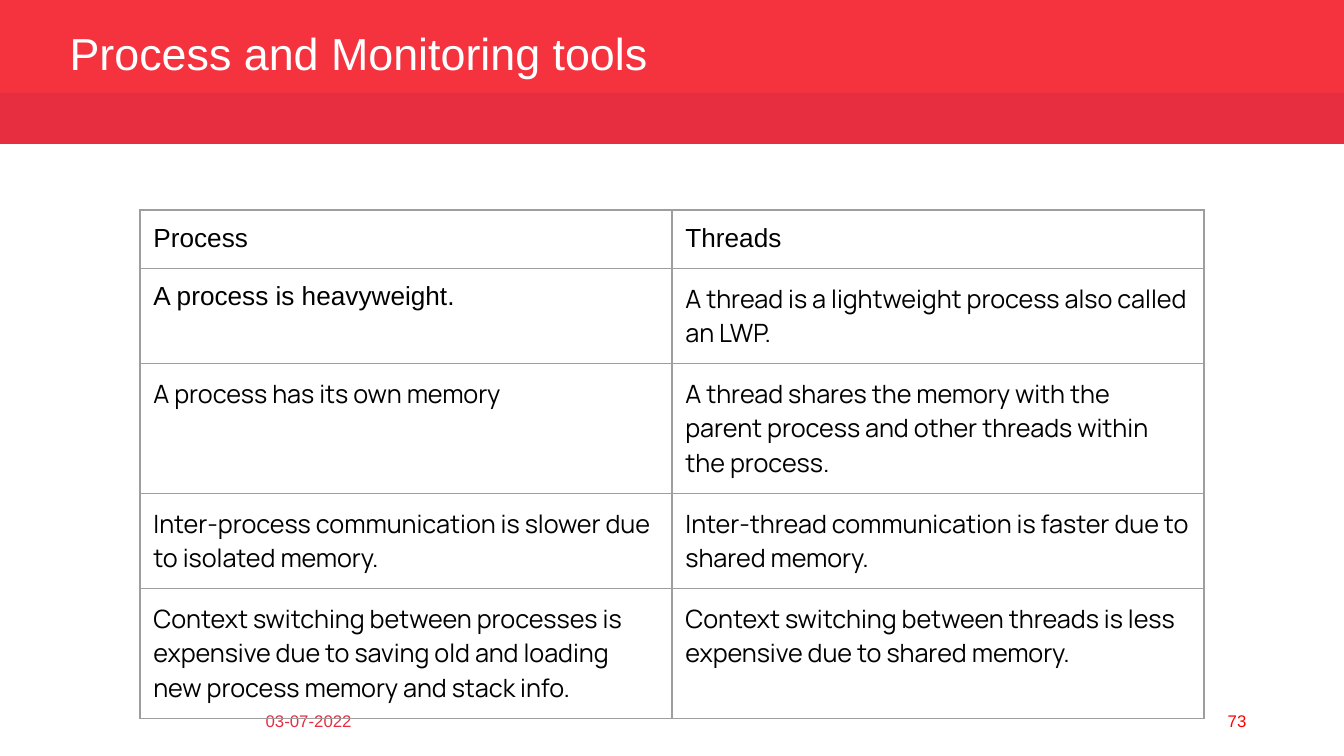
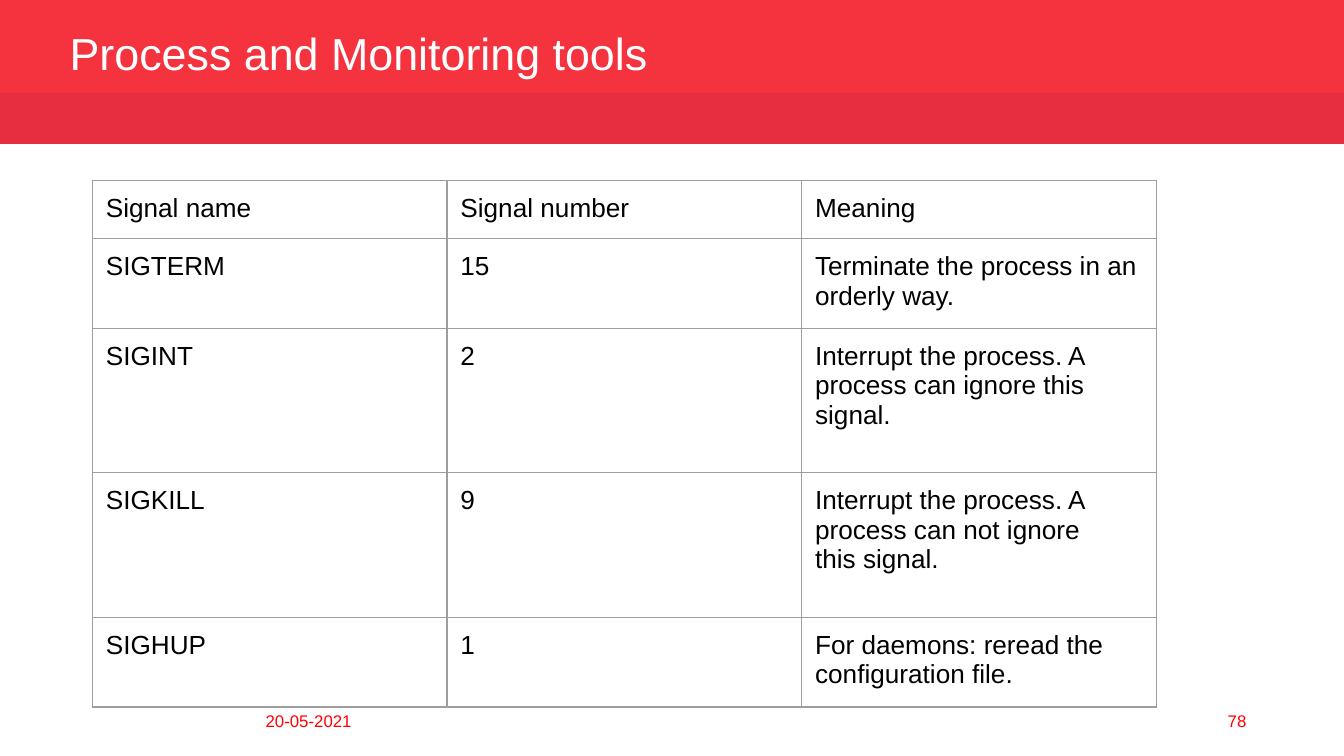
from lxml import etree
from pptx import Presentation
from pptx.dml.color import RGBColor
from pptx.enum import shapes, text
from pptx.oxml import ns
from pptx.util import Pt

SLIDE_W, SLIDE_H = 720, 405
BRIGHT, CRIMSON, FOOTER_RED = "F5333F", "E72D40", "FF0000"
WHITE, BLACK, GRID = "FFFFFF", "000000", "9E9E9E"
ARIAL, MANROPE = ("Arial", 14), ("Manrope", 13.5)
CELL_INSET = 7.2


def rgb(hex_color):
    return RGBColor.from_string(hex_color)


def add_run(paragraph, words, font, size, color):
    run = paragraph.add_run()
    run.text = words
    run.font.name = font
    run.font.size = Pt(size)
    run.font.color.rgb = rgb(color)


def add_band(slide, top, height, color):
    band = slide.shapes.add_shape(
        shapes.MSO_SHAPE.RECTANGLE, 0, Pt(top), Pt(SLIDE_W), Pt(height))
    band.shadow.inherit = False
    band.fill.solid()
    band.fill.fore_color.rgb = rgb(color)
    band.line.fill.background()


def add_label(slide, box, words, size, color, align=text.PP_ALIGN.LEFT, spacing=1.0):
    """Place one line of Arial, centred vertically in box."""
    frame = slide.shapes.add_textbox(*map(Pt, box)).text_frame
    frame.word_wrap = True
    frame.vertical_anchor = text.MSO_ANCHOR.MIDDLE
    paragraph = frame.paragraphs[0]
    paragraph.alignment = align
    paragraph.line_spacing = spacing
    add_run(paragraph, words, "Arial", size, color)


def add_header(slide, title):
    add_band(slide, 0, 50.4, BRIGHT)
    add_label(slide, (30.24, 10.1, 581, 40.3), title, 24, WHITE, spacing=0.9)
    add_band(slide, 49.8, 27.3, CRIMSON)


def add_footer(slide, date, number, date_color):
    top, width, height = 375.3, 162, 21.6
    add_label(slide, (135.2, top, width, height), date, 9, date_color)
    add_label(slide, (512.8, top, width, height), number, 9, FOOTER_RED,
              text.PP_ALIGN.RIGHT)


def outline_cell(cell):
    properties = cell._tc.get_or_add_tcPr()
    for position, side in enumerate(("lnL", "lnR", "lnT", "lnB")):
        line = etree.Element(ns.qn(f"a:{side}"), w=str(Pt(0.75)))
        fill = etree.SubElement(line, ns.qn("a:solidFill"))
        etree.SubElement(fill, ns.qn("a:srgbClr"), val=GRID)
        properties.insert(position, line)


def fill_cell(cell, words, font, size):
    """Write words into the cell, one paragraph per line."""
    cell.fill.background()
    outline_cell(cell)
    cell.margin_left = cell.margin_right = Pt(CELL_INSET)
    cell.margin_top = cell.margin_bottom = Pt(CELL_INSET)
    frame = cell.text_frame
    for index, line in enumerate(words.split("\n")):
        paragraph = frame.add_paragraph() if index else frame.paragraphs[0]
        add_run(paragraph, line, font, size, BLACK)


def add_grid(slide, box, rows, row_heights, font_of):
    """Draw equal columns in box; font_of(row, column) gives font and size."""
    left, top, width = box
    columns = len(rows[0])
    table = slide.shapes.add_table(
        len(rows), columns, Pt(left), Pt(top), Pt(width), Pt(sum(row_heights))).table
    table.first_row = table.horz_banding = False
    for column in table.columns:
        column.width = Pt(width / columns)
    for r, (row, height) in enumerate(zip(rows, row_heights)):
        table.rows[r].height = Pt(height)
        for c, words in enumerate(row):
            fill_cell(table.cell(r, c), words, *font_of(r, c))


def add_table_slide(deck, box, rows, row_heights, date, number,
                    date_color=FOOTER_RED, font_of=lambda r, c: ARIAL):
    slide = deck.slides.add_slide(deck.slide_layouts[6])
    add_footer(slide, date, number, date_color)
    add_header(slide, "Process and Monitoring tools")
    add_grid(slide, box, rows, row_heights, font_of)


PROCESS_VS_THREADS = [
    ("Process", "Threads"),
    ("A process is heavyweight.",
     "A thread is a lightweight process also called an LWP."),
    ("A process has its own memory",
     "A thread shares the memory with the parent process and other threads "
     "within the process."),
    ("Inter-process communication is slower due to isolated memory.",
     "Inter-thread communication is faster due to shared memory."),
    ("Context switching between processes is expensive due to saving old and "
     "loading new process memory and stack info.",
     "Context switching between threads is less expensive due to shared memory."),
]

SIGNALS = [
    ("Signal name", "Signal number", "Meaning"),
    ("SIGTERM", "15", "Terminate the process in an orderly way."),
    ("SIGINT", "2", "Interrupt the process. A process can ignore this\nsignal."),
    ("SIGKILL", "9", "Interrupt the process. A process can not ignore\nthis signal."),
    ("SIGHUP", "1", "For daemons: reread the configuration file."),
]


def comparison_font(row, column):
    """Arial for the header and the first process fact, Manrope elsewhere."""
    return ARIAL if row == 0 or (row, column) == (1, 0) else MANROPE


def main():
    deck = Presentation()
    deck.slide_width, deck.slide_height = Pt(SLIDE_W), Pt(SLIDE_H)
    add_table_slide(deck, (75, 112.5, 570), PROCESS_VS_THREADS,
                    (30, 51, 69.6, 51, 69.6), "03-07-2022", "73",
                    date_color=CRIMSON, font_of=comparison_font)
    add_table_slide(deck, (49.5, 96.6, 570), SIGNALS,
                    (30, 46, 77.4, 77.4, 46), "20-05-2021", "78")
    deck.save("out.pptx")


if __name__ == "__main__":
    main()
